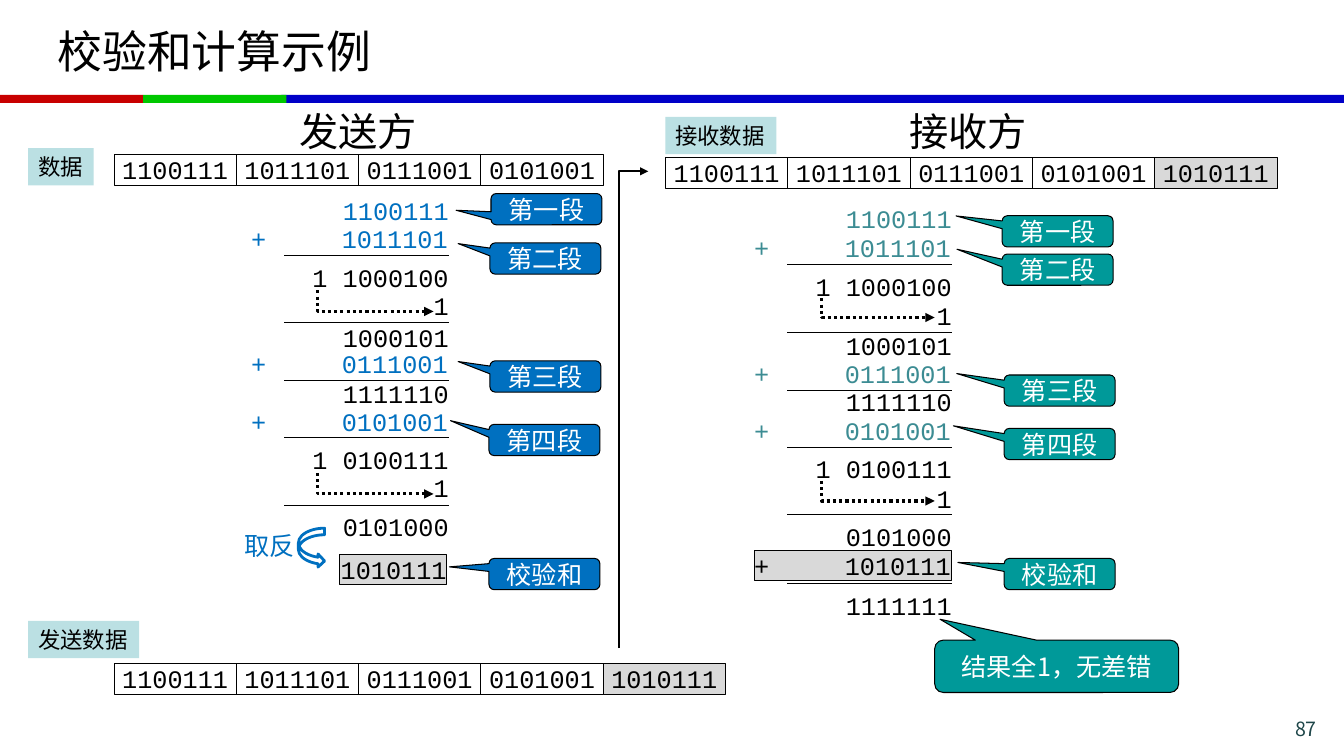
from lxml import etree
from pptx import Presentation
from pptx.dml.color import RGBColor
from pptx.enum.dml import MSO_LINE
from pptx.enum.shapes import MSO_CONNECTOR, MSO_SHAPE
from pptx.enum.text import MSO_ANCHOR, PP_ALIGN
from pptx.oxml.ns import qn
from pptx.util import Inches, Pt

RECT, CALLOUT = MSO_SHAPE.RECTANGLE, MSO_SHAPE.ROUNDED_RECTANGULAR_CALLOUT
CURVED_ARROW, STRAIGHT = MSO_SHAPE.CURVED_RIGHT_ARROW, MSO_CONNECTOR.STRAIGHT
LEFT, CENTER, RIGHT = PP_ALIGN.LEFT, PP_ALIGN.CENTER, PP_ALIGN.RIGHT
TOP, MIDDLE, DOTTED = MSO_ANCHOR.TOP, MSO_ANCHOR.MIDDLE, MSO_LINE.ROUND_DOT
BLACK, WHITE = RGBColor(0, 0, 0), RGBColor(255, 255, 255)
RED, GREEN, NAVY = RGBColor(200, 0, 0), RGBColor(0, 200, 0), RGBColor(0, 0, 200)
BLUE, TEAL = RGBColor(0x00, 0x70, 0xC0), RGBColor(0x00, 0x99, 0x99)
DARK_TEAL, PAGE_COLOR = RGBColor(0x3C, 0x8C, 0x93), RGBColor(0x1E, 0x46, 0x49)
GRAY, PALE = RGBColor(0xD9, 0xD9, 0xD9), RGBColor(0xBB, 0xE0, 0xE3)
HAN, MONO = "Noto Sans CJK SC", "Courier New"

# Content
TITLE, PAGE = "校验和计算示例", "87"
BARS = [(2.79, 10.54, NAVY), (0, 1.42, RED), (1.42, 1.42, GREEN)]
HEADINGS = [("发送方", 2.97), ("接收方", 9.02)]
TAGS = [("数据", 0.28, 1.47, 0.65), ("发送数据", 0.28, 6.16, 1.1),
        ("接收数据", 6.6, 1.16, 1.1)]
SEGMENTS = ["1100111", "1011101", "0111001", "0101001"]
CHECKSUM = "1010111"
DATA_ROWS = [(1.13, 1.53, SEGMENTS), (1.13, 6.58, SEGMENTS + [CHECKSUM]),
             (6.6, 1.56, SEGMENTS + [CHECKSUM])]
STEPS = ["1100111", "+\t1011101", "1 1000100", "1", "1000101", "+\t0111001",
         "1111110", "+\t0101001", "1 0100111", "1", "0101000"]
SIDES = [
    {"right": 4.45, "segment": BLUE, "callout": BLUE,
     "tops": [1.94, 2.22, 2.6, 2.88, 3.2, 3.46, 3.75, 4.03, 4.41, 4.69, 5.07],
     "rules": [2.53, 3.2, 3.77, 4.34, 5.01],
     "carries": [(2.88, 3.09), (4.69, 4.9)], "carry_x": (3.15, 4.3),
     "checksum": (CHECKSUM, 4.43, 5.5)},
    {"right": 9.44, "segment": DARK_TEAL, "callout": TEAL,
     "tops": [2.02, 2.31, 2.69, 2.98, 3.28, 3.55, 3.83, 4.12, 4.5, 4.79, 5.17],
     "rules": [2.62, 3.3, 3.87, 4.44, 5.1, 5.79],
     "carries": [(2.96, 3.15), (4.77, 4.97)], "carry_x": (8.15, 9.27),
     "checksum": ("+\t" + CHECKSUM, 9.44, 5.46)},
]
CALLOUT_NAMES = ["第一段", "第二段", "第三段", "第四段", "校验和"]
# left, top, pointer x, pointer y
SIDES[0]["callouts"] = [(4.87, 1.92, -0.815, 0.036), (4.86, 2.41, -0.787, -0.478),
                        (4.86, 3.58, -0.787, -0.478), (4.85, 4.21, -0.847, -0.619),
                        (4.85, 5.54, -0.857, -0.23)]
SIDES[1]["callouts"] = [(9.94, 2.14, -0.916, -0.493), (9.94, 2.52, -0.908, -0.654),
                        (9.96, 3.72, -0.928, -0.547), (9.96, 4.25, -0.958, -0.583),
                        (9.96, 5.54, -0.918, -0.371)]
RESULT, FINAL_SUM, INVERT = "结果全1，无差错", "1111111", "取反"

CELL_W, CELL_H, LINE_H = 1.213, 0.31, 0.3
CHAR_W, SUM_W, DIGITS_TAB, RULE_W = 0.15, 1.96, 0.9, 1.63

prs = Presentation()
prs.slide_width, prs.slide_height = Inches(13.33), Inches(7.5)
slide = prs.slides.add_slide(prs.slide_layouts[5])
shapes = slide.shapes


def write(shape, text, size, color, font=HAN, align=LEFT, anchor=TOP,
          inset=None, wrap=False):
    frame = shape.text_frame
    frame.word_wrap, frame.vertical_anchor = wrap, anchor
    if inset is not None:
        frame.margin_left = frame.margin_right = Inches(inset)
        frame.margin_top = frame.margin_bottom = Inches(inset)
    paragraph = frame.paragraphs[0]
    paragraph.alignment = align
    if "\t" in text:
        tabs = etree.SubElement(paragraph._p.get_or_add_pPr(), qn("a:tabLst"))
        etree.SubElement(tabs, qn("a:tab"), pos=str(Inches(DIGITS_TAB)), algn="l")
    run = paragraph.add_run()
    run.text = text
    run.font.size, run.font.name, run.font.color.rgb = Pt(size), font, color
    etree.SubElement(run._r.get_or_add_rPr(), qn("a:ea"), typeface=font)


def paint(shape, fill, line, width):
    shape.shadow.inherit = False
    if fill is None:
        shape.fill.background()
    else:
        shape.fill.solid()
        shape.fill.fore_color.rgb = fill
    if line is None:
        shape.line.fill.background()
    else:
        shape.line.color.rgb, shape.line.width = line, Pt(width)


def add_box(kind, x, y, w, h, fill=None, line=None, width=0.75):
    shape = shapes.add_shape(kind, Inches(x), Inches(y), Inches(w), Inches(h))
    paint(shape, fill, line, width)
    return shape


def add_text(x, y, w, h, *args, **options):
    box = shapes.add_textbox(Inches(x), Inches(y), Inches(w), Inches(h))
    write(box, *args, **options)


def add_sum_line(text, right, top, color, boxed=False):
    has_plus = "\t" in text
    width = SUM_W if has_plus else CHAR_W * len(text) + 0.01
    if boxed:
        box = add_box(RECT, right - width, top, width, LINE_H, GRAY, BLACK)
    else:
        box = shapes.add_textbox(Inches(right - width), Inches(top),
                                 Inches(width), Inches(LINE_H))
    write(box, text, 18, color, MONO, LEFT if has_plus else RIGHT, inset=0)


def add_bent_arrow(points, width, dash=None):
    start, *rest = [(Inches(x), Inches(y)) for x, y in points]
    builder = shapes.build_freeform(*start)
    builder.add_line_segments(rest, close=False)
    arrow = builder.convert_to_shape()
    paint(arrow, None, BLACK, width)
    if dash is not None:
        arrow.line.dash_style = dash
    etree.SubElement(arrow.line._get_or_add_ln(), qn("a:tailEnd"), type="triangle")


def add_callout(text, x, y, w, h, pointer_x, pointer_y, fill):
    callout = add_box(CALLOUT, x, y, w, h, fill, BLACK)
    callout.adjustments[0], callout.adjustments[1] = pointer_x, pointer_y
    write(callout, text, 18, WHITE, align=CENTER, anchor=MIDDLE, wrap=True)


# Title, colour bars, page number
for x, w, color in BARS:
    add_box(RECT, x, 0.94, w, 0.08, color)
title = shapes.title
title.left, title.top = Inches(0.47), Inches(0.08)
title.width, title.height = Inches(12.39), Inches(0.84)
write(title, TITLE, 32, BLACK, anchor=MIDDLE, wrap=True)
add_text(11.86, 7.06, 1.3, 0.28, PAGE, 14, PAGE_COLOR, align=RIGHT, wrap=True)

# Headings and tags
for text, x in HEADINGS:
    add_text(x, 1.06, 1.17, 0.47, text, 28, BLACK, inset=0)
for text, x, y, w in TAGS:
    write(add_box(RECT, x, y, w, 0.37, PALE), text, 16, BLACK)

# Data rows
for left, top, words in DATA_ROWS:
    for i, word in enumerate(words):
        fill = GRAY if word == CHECKSUM else None
        cell = add_box(RECT, left + i * CELL_W, top, CELL_W, CELL_H, fill, BLACK, 0.5)
        write(cell, word, 18, BLACK, MONO, CENTER, MIDDLE, 0, True)

# Additions on both sides
for side in SIDES:
    right = side["right"]
    text, box_right, top = side["checksum"]
    add_sum_line(text, box_right, top, BLACK, boxed=True)
    for i, (text, top) in enumerate(zip(STEPS, side["tops"])):
        is_segment = i == 0 or "\t" in text
        add_sum_line(text, right, top, side["segment"] if is_segment else BLACK)
    for y in side["rules"]:
        rule = shapes.add_connector(STRAIGHT, Inches(right - RULE_W), Inches(y),
                                    Inches(right), Inches(y))
        rule.line.color.rgb, rule.line.width = BLACK, Pt(0.63)
        etree.SubElement(rule._element.spPr, qn("a:effectLst"))
    start_x, end_x = side["carry_x"]
    for y, bend_y in side["carries"]:
        add_bent_arrow([(start_x, y), (start_x, bend_y), (end_x, bend_y)], 2.25, DOTTED)
    for text, (x, y, pointer_x, pointer_y) in zip(CALLOUT_NAMES, side["callouts"]):
        add_callout(text, x, y, 1.1, 0.31, pointer_x, pointer_y, side["callout"])

# Inversion, transmission and final result
add_text(2.42, 5.26, 0.5, 0.3, INVERT, 18, BLUE, inset=0)
add_box(CURVED_ARROW, 2.96, 5.24, 0.26, 0.39, None, BLUE, 2)
add_bent_arrow([(6.14, 6.43), (6.14, 1.7), (6.43, 1.7)], 1.5)
add_sum_line(FINAL_SUM, SIDES[1]["right"], 5.86, BLACK)
add_callout(RESULT, 9.27, 6.35, 2.42, 0.52, -0.478, -0.898, TEAL)

prs.save("out.pptx")
